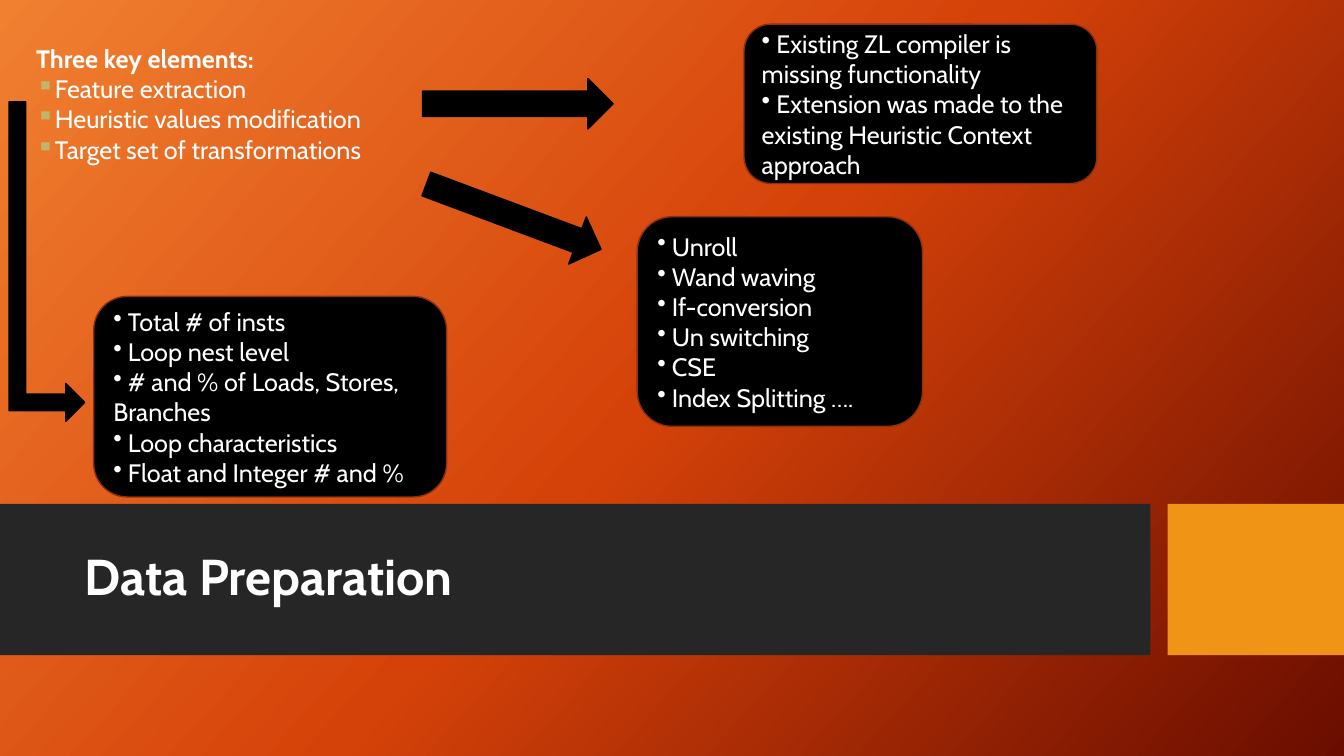
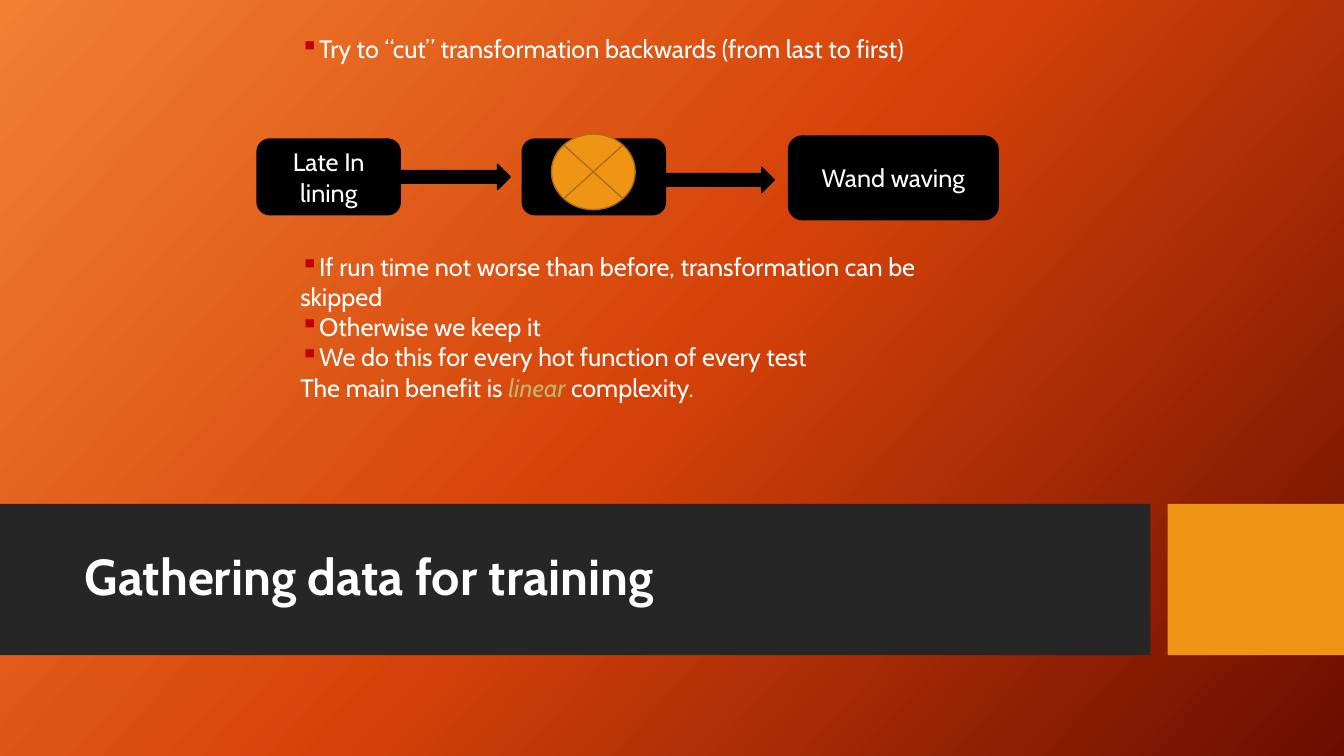
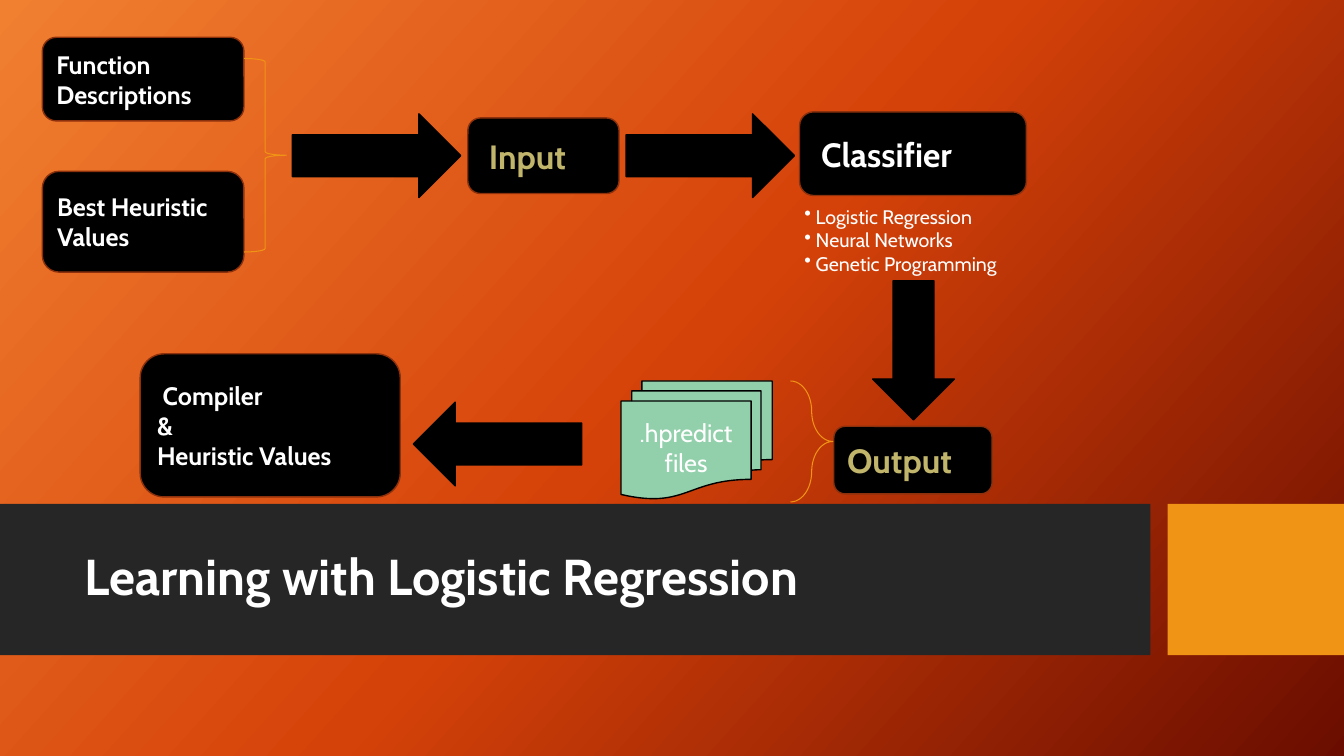
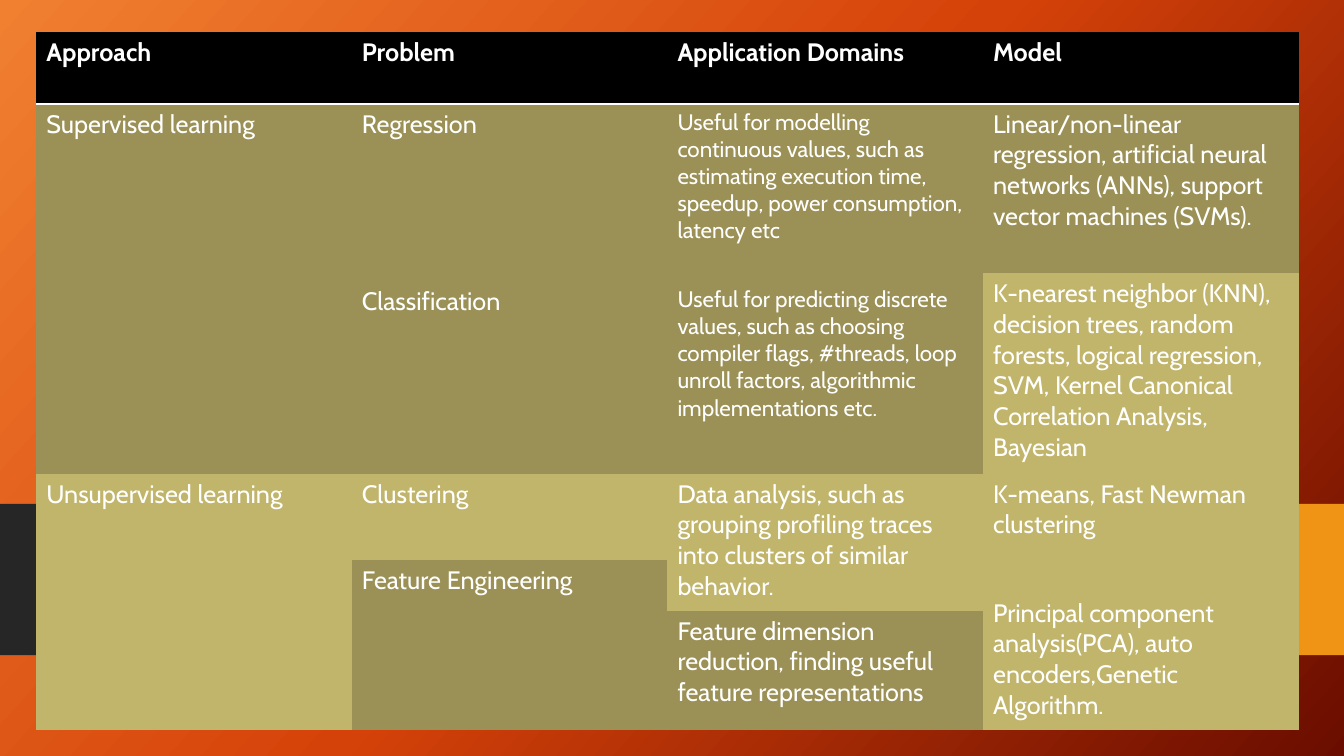
from copy import deepcopy

from lxml import etree
from pptx import Presentation
from pptx.dml.color import RGBColor
from pptx.enum.shapes import MSO_SHAPE
from pptx.enum.text import MSO_ANCHOR, PP_ALIGN
from pptx.oxml import parse_xml
from pptx.oxml.ns import nsdecls, qn
from pptx.util import Inches, Pt

LEFT, CENTER = PP_ALIGN.LEFT, PP_ALIGN.CENTER
MIDDLE = MSO_ANCHOR.MIDDLE
RECT, ROUND = MSO_SHAPE.RECTANGLE, MSO_SHAPE.ROUNDED_RECTANGLE
ARROW, BENT = MSO_SHAPE.RIGHT_ARROW, MSO_SHAPE.BENT_UP_ARROW
BRACE = MSO_SHAPE.RIGHT_BRACE
CROSS = MSO_SHAPE.FLOWCHART_SUMMING_JUNCTION
STACK = MSO_SHAPE.FLOWCHART_MULTIDOCUMENT

FONT = "Cabin"
HUES = {
    "white": "FFFFFF", "black": "000000", "band": "262626",
    "amber": "F09415", "rust": "8D310D", "bronze": "B26D10",
    "sand": "C1B56B", "olive": "9B9156", "red": "C00000", "mint": "92D0AB",
    "light": "F18031", "mid": "D54209", "dark": "6A0D00",
}
RGB = {name: RGBColor.from_string(value) for name, value in HUES.items()}


def draw(slide, kind, at, fill="black", line="black", width=1, turn=0):
    """Add a preset shape; fill or line may be None."""
    shape = slide.shapes.add_shape(kind, *map(Inches, at))
    shape.shadow.inherit = False
    shape.rotation = turn
    for part, hue in ((shape.fill, fill), (shape.line.fill, line)):
        if hue:
            part.solid()
            part.fore_color.rgb = RGB[hue]
        else:
            part.background()
    if line:
        shape.line.width = Pt(width)
    return shape


def write(frame, lines, size=18, hue="white", bold=False, align=LEFT, tint=None):
    """Fill a text frame; a line that starts with a mark becomes a bullet."""
    frame.word_wrap = True
    for i, line in enumerate(lines):
        para = frame.add_paragraph() if i else frame.paragraphs[0]
        para.text = line.lstrip("▪•")
        para.alignment = align
        if line[0] in "▪•":
            props = para._p.get_or_add_pPr()
            if tint:
                color = etree.SubElement(props, qn("a:buClr"))
                etree.SubElement(color, qn("a:srgbClr"), val=HUES[tint])
            etree.SubElement(props, qn("a:buChar"), char=line[0])
        font = para.font
        font.name, font.size, font.bold = FONT, Pt(size), bold
        font.color.rgb = RGB[hue]
    return frame.paragraphs


deck = Presentation()
deck.slide_width, deck.slide_height = Inches(13.33), Inches(7.5)
master = deck.slide_master

# Shared background
back = master.background.fill
back.gradient()
back.gradient_angle = 318
first = back.gradient_stops[0].element
first.getparent().append(deepcopy(first))
for stop, place, hue in zip(back.gradient_stops, (0, 0.5, 1), ("light", "mid", "dark")):
    stop.position = place
    stop.color.rgb = RGB[hue]

# Titled slides
titles = ["Data Preparation", "Gathering data for training",
          "Learning with Logistic Regression"]
slides = []
for text in titles:
    slide = deck.slides.add_slide(deck.slide_layouts[5])
    title = slide.shapes.title
    title.left, title.top = Inches(0.74), Inches(5.15)
    title.width, title.height = Inches(10.51), Inches(1.19)
    title.text_frame.vertical_anchor = MIDDLE
    write(title.text_frame, [text], 36, bold=True)[0].line_spacing = 0.9
    slides.append(slide)
prep, gather, learn = slides

# Shared bands, moved to the master
for spot, (left, width, hue) in enumerate([(0, 11.41, "band"), (11.58, 1.75, "amber")]):
    band = draw(prep, RECT, (left, 5, width, 1.5), hue, None)
    master.shapes.element.insert(2 + spot, band.element)

# Slide 1: key elements and their details
box = prep.shapes.add_textbox(*map(Inches, (0.26, 0.38, 3.88, 1.31)))
keys = write(box.text_frame, [
    "Three key elements:", "▪Feature extraction",
    "▪Heuristic values modification", "▪Target set of transformations"], tint="sand")
keys[0].font.bold = True
for at, lines in [
    ((7.38, 0.24, 3.5, 1.58), [
        "• Existing ZL compiler is missing functionality",
        "• Extension was made to the existing Heuristic Context approach"]),
    ((6.32, 2.15, 2.83, 2.08), [
        "• Unroll", "• Wand waving", "• If-conversion", "• Un switching",
        "• CSE", "• Index Splitting …."]),
    ((0.93, 2.94, 3.5, 1.99), [
        "• Total # of insts", "• Loop nest level",
        "• # and % of Loads, Stores, Branches", "• Loop characteristics",
        "• Float and Integer # and %"]),
]:
    write(draw(prep, ROUND, at, line="rust").text_frame, lines)
draw(prep, ARROW, (4.19, 0.78, 1.89, 0.5))
draw(prep, ARROW, (4.17, 1.9, 1.85, 0.5), turn=20.5)
elbow = draw(prep, BENT, (-1.12, 2.22, 3.17, 0.75), turn=90)
elbow.adjustments[0] = 0.22

# Slide 2: cutting steps backwards
for at, lines in [
    ((2.88, 0.28, 6.67, 0.71), [
        "▪Try to “cut” transformation backwards (from last to first)"]),
    ((2.88, 2.44, 6.67, 1.62), [
        "▪If run time not worse than before, transformation can be skipped",
        "▪Otherwise we keep it",
        "▪We do this for every hot function of every test",
        "The main benefit is "]),
]:
    box = gather.shapes.add_textbox(*map(Inches, at))
    notes = write(box.text_frame, lines, tint="red")
word = notes[-1].add_run()
word.text = "linear"
word.font.italic = True
word.font.color.rgb = RGB["sand"]
notes[-1].add_run().text = " complexity."
for at, label in [
    ((2.55, 1.38, 1.42, 0.75), "Late In lining"),
    ((5.18, 1.38, 1.42, 0.75), None),
    ((7.82, 1.35, 2.08, 0.83), "Wand waving"),
]:
    step = draw(gather, ROUND, at)
    if label:
        write(step.text_frame, [label], align=CENTER)
draw(gather, CROSS, (5.47, 1.33, 0.83, 0.75), "amber", "bronze")
for left, top in [(3.98, 1.63), (6.6, 1.66)]:
    draw(gather, ARROW, (left, top, 1.08, 0.25))

# Slide 3: learning flow
for at, turn in [
    ((2.9, 1.13, 1.67, 0.83), 0), ((6.21, 1.13, 1.67, 0.83), 0),
    ((8.37, 3.07, 1.38, 0.81), 90), ((4.1, 3.99, 1.67, 0.83), 180),
]:
    draw(learn, ARROW, at, turn=turn)
for at, lines, size, hue in [
    ((0.42, 0.37, 2, 0.83), ["Function", "Descriptions"], 18, "white"),
    ((0.42, 1.7, 2, 1), ["Best Heuristic Values"], 18, "white"),
    ((4.64, 1.17, 1.5, 0.75), [" Input"], 24, "sand"),
    ((7.93, 1.11, 2.25, 0.83), [" Classifier"], 24, "white"),
    ((8.27, 4.23, 1.57, 0.67), ["Output"], 24, "sand"),
    ((1.39, 3.51, 2.58, 1.42), [" Compiler", "&", "Heuristic Values"], 18, "white"),
]:
    write(draw(learn, ROUND, at, line="rust").text_frame, lines, size, hue, True)
box = learn.shapes.add_textbox(*map(Inches, (7.88, 1.98, 2.67, 0.81)))
write(box.text_frame, ["• Logistic Regression", "• Neural Networks",
                       "• Genetic Programming"], 14)
files = draw(learn, STACK, (6.16, 3.78, 1.5, 1.17), "mint")
write(files.text_frame, [".hpredict", "files"], align=CENTER)
draw(learn, BRACE, (2.42, 0.58, 0.42, 1.92), None, "amber", 0.75)
curve = draw(learn, BRACE, (7.84, 3.78, 0.42, 1.2), None, "amber", 0.75)
curve.adjustments[0] = 1.15

# Slide 4: table of approaches
models = deck.slides.add_slide(deck.slide_layouts[6])
rows = [0.71, 1.68, 0.08, 1.91, 0.86, 0.32, 0.18, 1.18]
frame = models.shapes.add_table(len(rows), 4, *map(Inches, (0.36, 0.32, 12.53, 6.92)))
style = frame.element.find(".//" + qn("a:tableStyleId"))
style.text = "{2D5ABB26-0587-4C30-8999-92F81FD0307C}"
grid = frame.table
for row, high in zip(grid.rows, rows):
    row.height = Inches(high)
for col in grid.columns:
    col.width = Inches(3.13)

heads = ["Approach", "Problem", "Application Domains", "Model"]
cells = [(0, i, 1, "black", 18, head) for i, head in enumerate(heads)]
# Row, column, rows spanned, fill, text size, text
cells += [
    (1, 0, 3, "olive", 18, "Supervised learning"),
    (1, 1, 2, "olive", 18, "Regression"),
    (1, 2, 2, "olive", 16, "Useful for modelling continuous values, such as "
     "estimating execution time, speedup, power consumption, latency etc"),
    (1, 3, 1, "olive", 18, "Linear/non-linear regression, artificial neural "
     "networks (ANNs), support vector machines (SVMs)."),
    (2, 3, 2, "sand", 18, "K-nearest neighbor (KNN), decision trees, random forests, "
     "logical regression, SVM, Kernel Canonical Correlation Analysis, Bayesian"),
    (3, 1, 1, "olive", 18, "Classification"),
    (3, 2, 1, "olive", 16, "Useful for predicting discrete values, such as choosing "
     "compiler flags, #threads, loop unroll factors, algorithmic implementations etc."),
    (4, 0, 4, "sand", 18, "Unsupervised learning"),
    (4, 1, 1, "sand", 18, "Clustering"),
    (4, 2, 3, "sand", 18, "Data analysis, such as grouping profiling traces into "
     "clusters of similar behavior."),
    (4, 3, 2, "sand", 18, "K-means, Fast Newman clustering"),
    (5, 1, 3, "olive", 18, "Feature Engineering"),
    (6, 3, 2, "sand", 18, "Principal component analysis(PCA), auto "
     "encoders,Genetic Algorithm."),
    (7, 2, 1, "olive", 18, "Feature dimension reduction, finding useful feature "
     "representations"),
]
for row, col, span, fill, size, text in cells:
    cell = grid.cell(row, col)
    if span > 1:
        cell.merge(grid.cell(row + span - 1, col))
    cell.fill.solid()
    cell.fill.fore_color.rgb = RGB[fill]
    write(cell.text_frame, [text], size, bold=row == 0)
    if row == 0:
        rule = parse_xml(
            f'<a:lnB {nsdecls("a")} w="{Pt(2)}"><a:solidFill>'
            f'<a:srgbClr val="{HUES["white"]}"/></a:solidFill></a:lnB>')
        cell._tc.get_or_add_tcPr().insert(0, rule)

deck.save("out.pptx")
